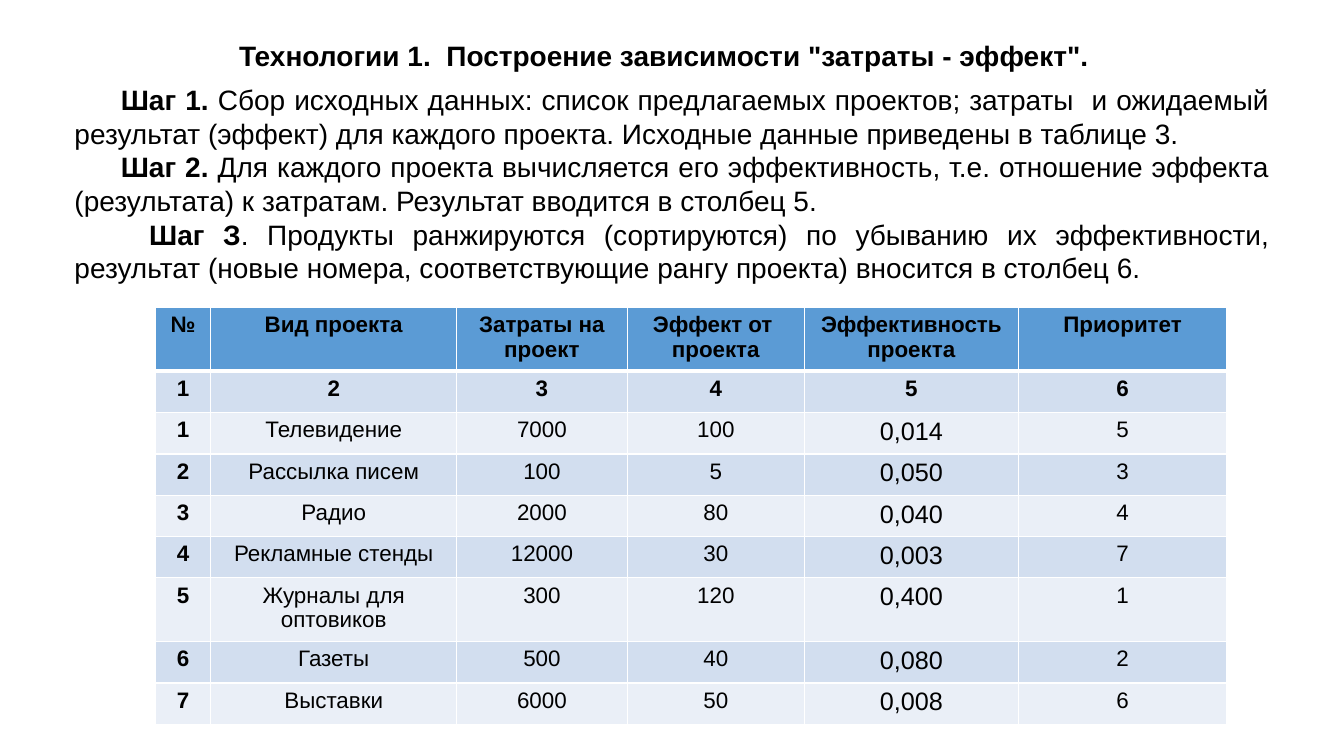
from lxml.etree import SubElement
from pptx import Presentation
from pptx.dml.color import RGBColor
from pptx.enum.text import MSO_AUTO_SIZE, PP_ALIGN
from pptx.oxml.ns import qn
from pptx.util import Inches, Pt

COLORS = {"text": "000000", "header": "5B9BD5", "dark": "D2DEEF",
          "light": "EAEFF7", "border": "FFFFFF"}

TITLE = 'Технологии 1.  Построение зависимости "затраты - эффект".'

STEPS = [
    (0.46, "Шаг 1.", " Сбор исходных данных: список предлагаемых проектов; "
     "затраты  и ожидаемый результат (эффект) для каждого проекта. "
     "Исходные данные приведены в таблице 3."),
    (0.46, "Шаг 2.", " Для каждого проекта вычисляется его эффективность, т.е. "
     "отношение эффекта (результата) к затратам. Результат вводится в столбец 5."),
    (0.74, "Шаг З", ". Продукты ранжируются (сортируются) по убыванию их "
     "эффективности, результат (новые номера, соответствующие рангу проекта) "
     "вносится в столбец 6."),
]

COLUMN_WIDTHS = [0.55, 2.44, 1.69, 1.76, 2.12, 2.07]
EFFICIENCY_COLUMN = 4
PROJECTS = [
    ["№", "Вид проекта", "Затраты на проект", "Эффект от  проекта",
     "Эффективность проекта", "Приоритет"],
    ["1", "2", "3", "4", "5", "6"],
    ["1", "Телевидение", "7000", "100", "0,014", "5"],
    ["2", "Рассылка писем", "100", "5", "0,050", "3"],
    ["3", "Радио", "2000", "80", "0,040", "4"],
    ["4", "Рекламные стенды", "12000", "30", "0,003", "7"],
    ["5", "Журналы для оптовиков", "300", "120", "0,400", "1"],
    ["6", "Газеты", "500", "40", "0,080", "2"],
    ["7", "Выставки", "6000", "50", "0,008", "6"],
]


class SlideBuilder:
    """Holds the slide and its style, and adds text and tables to it."""

    def __init__(self, slide, font="Arial"):
        self.slide = slide
        self.font = font

    def run(self, p, text, size, bold=False):
        r = p.add_run()
        r.text = text
        r.font.name = self.font
        r.font.size = Pt(size)
        r.font.bold = bold
        r.font.color.rgb = RGBColor.from_string(COLORS["text"])

    def text(self, left, top, width, height, paragraphs, align, size=20):
        sp = self.slide.shapes.add_textbox(
            Inches(left), Inches(top), Inches(width), Inches(height))
        tf = sp.text_frame
        tf.word_wrap = True
        tf.auto_size = MSO_AUTO_SIZE.SHAPE_TO_FIT_TEXT
        for i, (indent, bold_text, plain_text) in enumerate(paragraphs):
            p = tf.add_paragraph() if i else tf.paragraphs[0]
            p.alignment = align
            if indent:
                pPr = p._p.get_or_add_pPr()
                pPr.set("marL", "0")
                pPr.set("indent", str(Inches(indent)))
            self.run(p, bold_text, size, bold=True)
            if plain_text:
                self.run(p, plain_text, size)

    def borders(self, cell, bottom=1, top=1):
        tcPr = cell._tc.get_or_add_tcPr()
        for tag, width in (("lnL", 1), ("lnR", 1), ("lnT", top), ("lnB", bottom)):
            ln = SubElement(tcPr, qn(f"a:{tag}"), w=str(Pt(width)))
            fill = SubElement(ln, qn("a:solidFill"))
            SubElement(fill, qn("a:srgbClr"), val=COLORS["border"])

    def table(self, left, top, widths, row_height, rows):
        table = self.slide.shapes.add_table(
            len(rows), len(widths), Inches(left), Inches(top),
            Inches(sum(widths)), Inches(row_height * len(rows))).table
        for column, width in zip(table.columns, widths):
            column.width = Inches(width)
        for i, values in enumerate(rows):
            table.rows[i].height = Inches(row_height)
            band = "header" if i == 0 else "dark" if i % 2 else "light"
            for j, value in enumerate(values):
                cell = table.cell(i, j)
                self.borders(cell, bottom=3 if i == 0 else 1, top=3 if i == 1 else 1)
                cell.fill.solid()
                cell.fill.fore_color.rgb = RGBColor.from_string(COLORS[band])
                p = cell.text_frame.paragraphs[0]
                p.alignment = PP_ALIGN.CENTER
                size = 18 if i > 1 and j == EFFICIENCY_COLUMN else 16
                self.run(p, value, size, bold=i < 2 or j == 0)


def main():
    prs = Presentation()
    prs.slide_width = Inches(13.33)
    prs.slide_height = Inches(7.5)
    s = SlideBuilder(prs.slides.add_slide(prs.slide_layouts[6]))
    s.text(0.64, 0.77, 12.05, 2.12, STEPS, PP_ALIGN.JUSTIFY)
    s.text(1.1, 0.33, 10.97, 0.44, [(0, TITLE, "")], PP_ALIGN.CENTER)
    s.table(1.54, 3.05, COLUMN_WIDTHS, 0.41, PROJECTS)
    prs.save("out.pptx")


if __name__ == "__main__":
    main()
